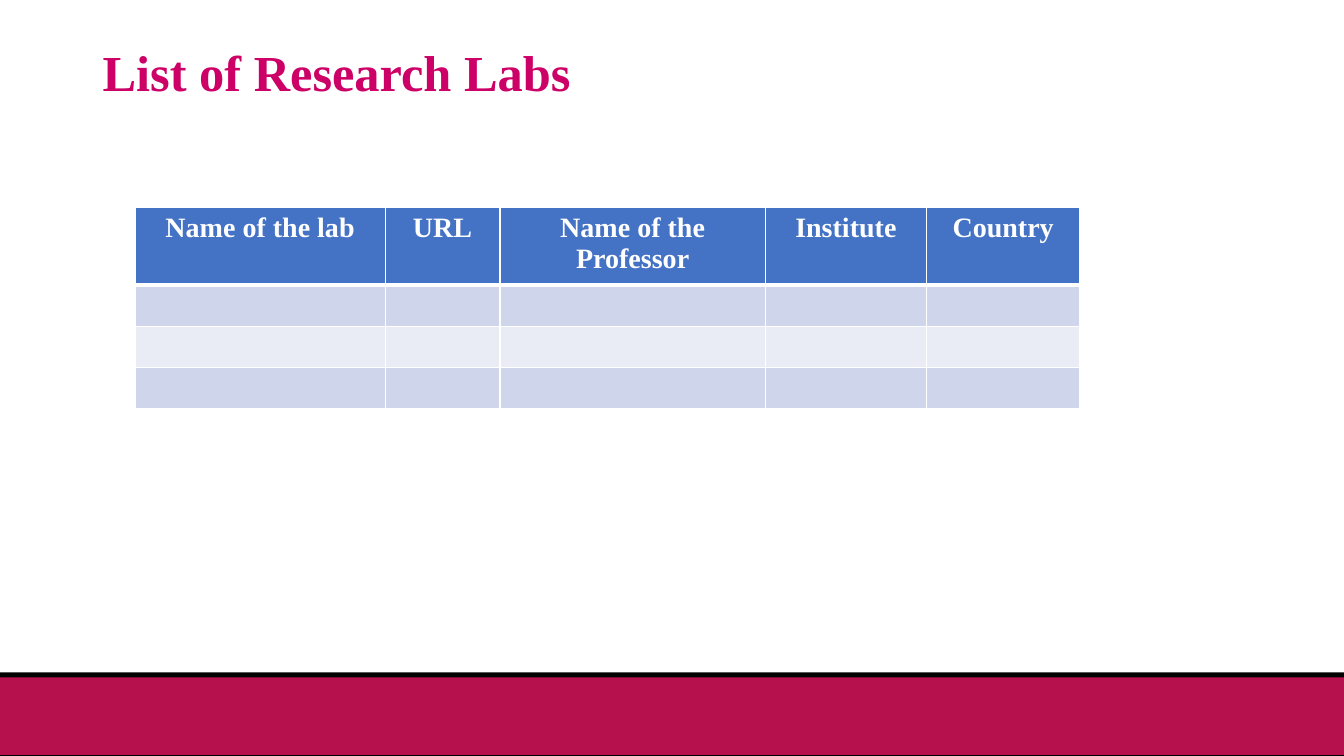
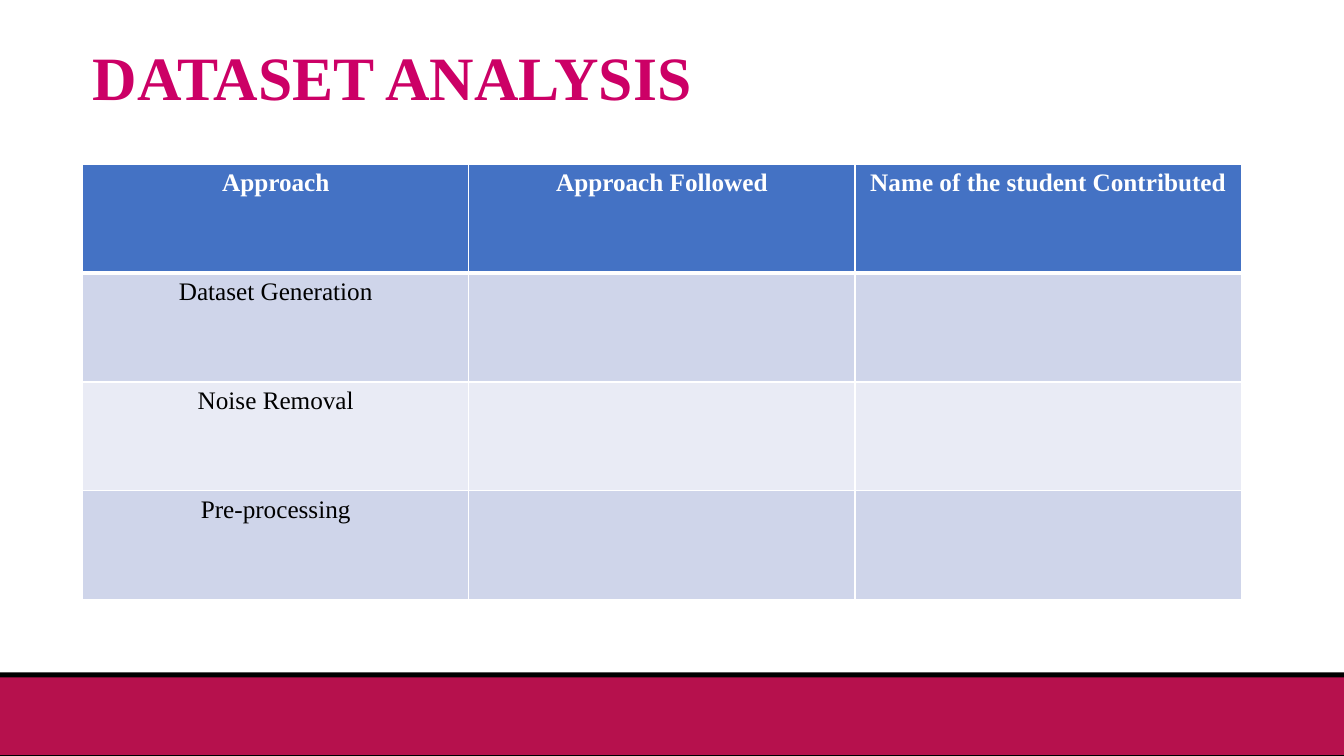
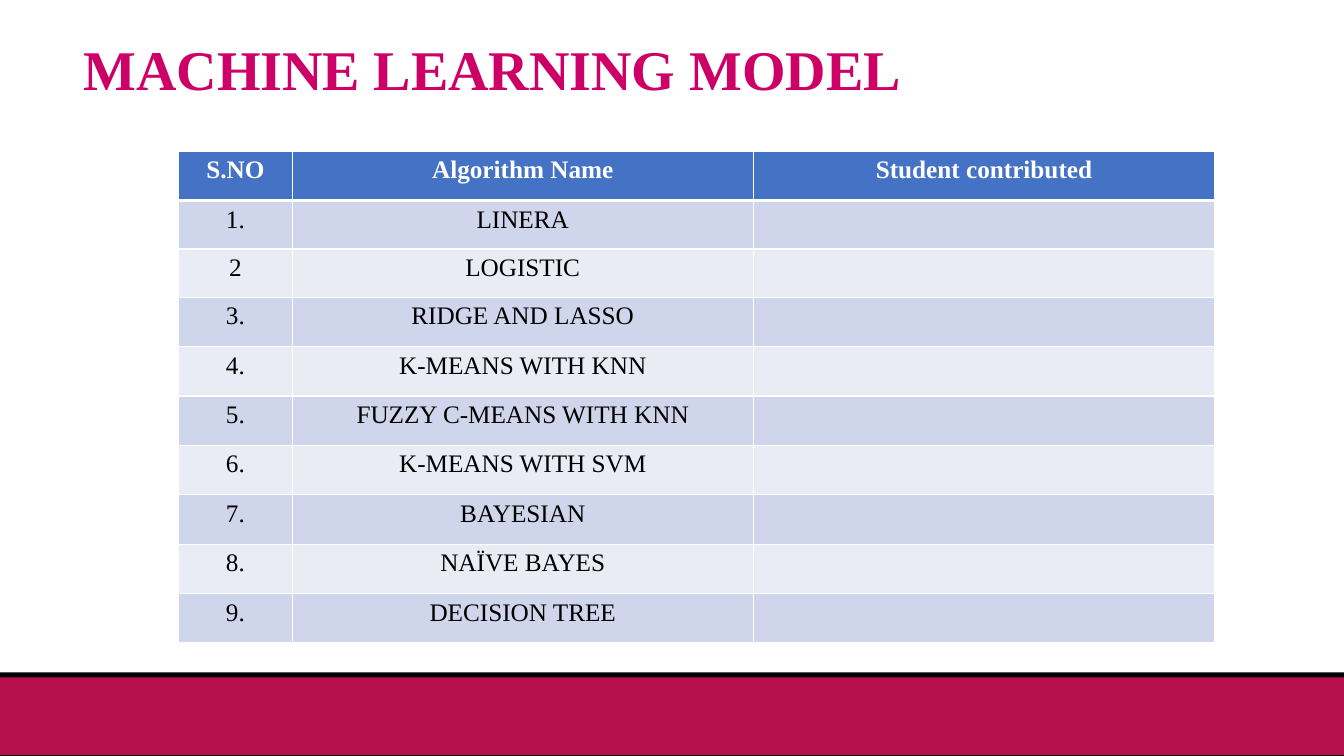
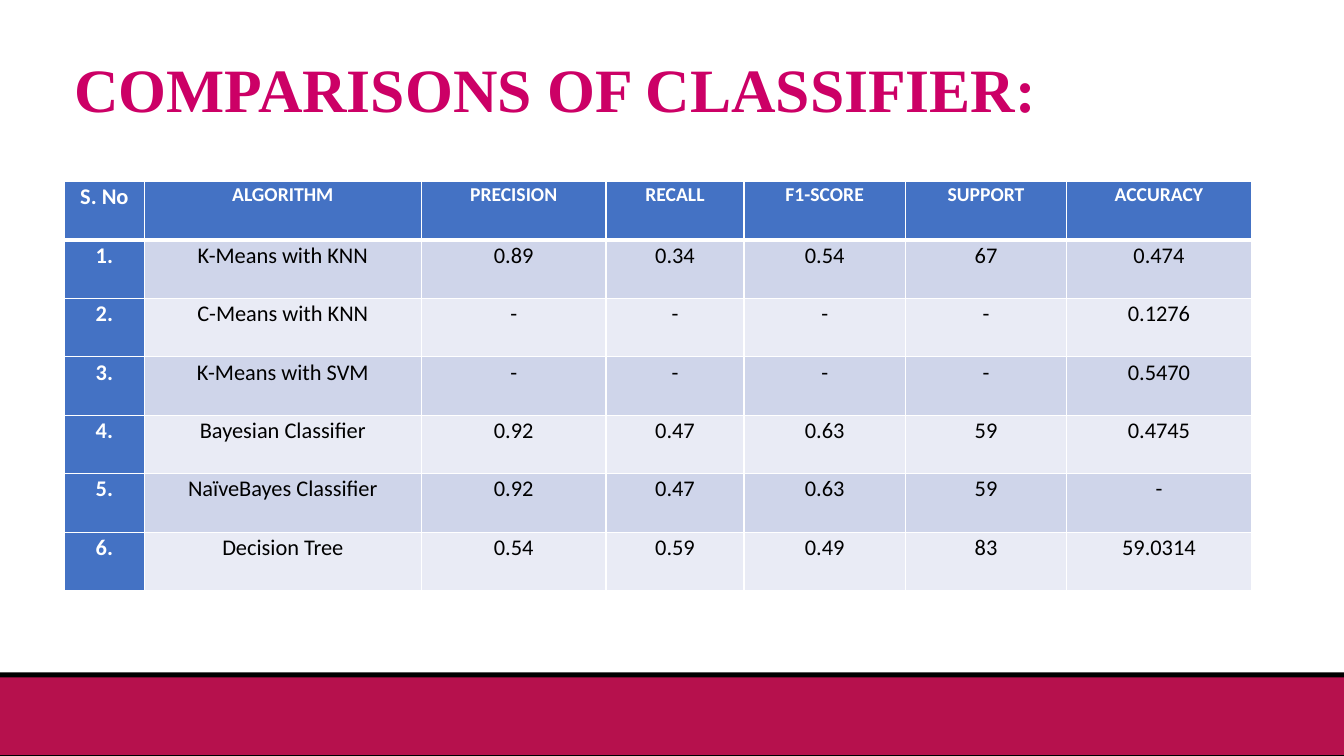
from lxml import etree
from pptx import Presentation
from pptx import util as u
from pptx.dml.color import RGBColor
from pptx.enum import shapes, text
from pptx.oxml import ns

BLACK = RGBColor(0x00, 0x00, 0x00)
WHITE = RGBColor(0xFF, 0xFF, 0xFF)
CRIMSON = RGBColor(0xB6, 0x11, 0x4D)
MAGENTA = RGBColor(0xCC, 0x00, 0x66)
BLUE = RGBColor(0x44, 0x72, 0xC4)
STRIPES = (RGBColor(0xCF, 0xD5, 0xEA), RGBColor(0xE9, 0xEB, 0xF5))
SERIF = "Times New Roman"
SANS = "Calibri"
PAGE_WIDTH, PAGE_HEIGHT = 13.33, 7.5

LABS = [["Name of the lab", "URL", "Name of the Professor", "Institute", "Country"]] + [[""] * 5] * 3
APPROACHES = [
    ["Approach", "Approach Followed", "Name of the student Contributed"],
    ["Dataset Generation", "", ""],
    ["Noise Removal", "", ""],
    ["Pre-processing", "", ""],
]
MODELS = [
    ["S.NO", "Algorithm Name", "Student contributed"],
    ["1.", "LINERA", ""],
    ["2", "LOGISTIC", ""],
    ["3.", "RIDGE AND LASSO", ""],
    ["4.", "K-MEANS WITH KNN", ""],
    ["5.", "FUZZY C-MEANS WITH KNN", ""],
    ["6.", "K-MEANS WITH SVM", ""],
    ["7.", "BAYESIAN", ""],
    ["8.", "NAÏVE BAYES", ""],
    ["9.", "DECISION TREE", ""],
]
SCORES = [
    ["S. No", "ALGORITHM", "PRECISION", "RECALL", "F1-SCORE", "SUPPORT", "ACCURACY"],
    ["1.", "K-Means with KNN", "0.89", "0.34", "0.54", "67", "0.474"],
    ["2.", "C-Means with KNN", "-", "-", "-", "-", "0.1276"],
    ["3.", "K-Means with SVM", "-", "-", "-", "-", "0.5470"],
    ["4.", "Bayesian Classifier", "0.92", "0.47", "0.63", "59", "0.4745"],
    ["5.", "NaïveBayes Classifier", "0.92", "0.47", "0.63", "59", "-"],
    ["6.", "Decision Tree", "0.54", "0.59", "0.49", "83", "59.0314"],
]


def inches(box):
    return [u.Inches(length) for length in box]


def style_run(span, font, size, color, bold):
    span.font.name = font
    span.font.size = u.Pt(size)
    span.font.color.rgb = color
    span.font.bold = bold


def add_band(page, top, height, color):
    band = page.shapes.add_shape(
        shapes.MSO_SHAPE.RECTANGLE, *inches((0, top, PAGE_WIDTH, height)))
    band.shadow.inherit = False
    band.fill.solid()
    band.fill.fore_color.rgb = color
    band.line.fill.background()


def add_title(page, title, box, size):
    frame = page.shapes.add_textbox(*inches(box)).text_frame
    frame.word_wrap = True
    frame.vertical_anchor = text.MSO_ANCHOR.MIDDLE
    para = frame.paragraphs[0]
    para.text = title
    para.line_spacing = 0.9
    style_run(para.runs[0], SERIF, size, MAGENTA, True)


def set_borders(cell, top, bottom):
    properties = cell._tc.get_or_add_tcPr()
    widths = {"a:lnL": 1, "a:lnR": 1, "a:lnT": top, "a:lnB": bottom}
    for place, (tag, width) in enumerate(widths.items()):
        line = etree.Element(ns.qn(tag), w=str(u.Pt(width)))
        fill = etree.SubElement(line, ns.qn("a:solidFill"))
        etree.SubElement(fill, ns.qn("a:srgbClr"), val=str(WHITE))
        properties.insert(place, line)


def add_grid(page, left, top, widths, heights, rows, font=SERIF, size=18,
             header_size=None, number_column=False, tight=False):
    box = inches((left, top, sum(widths), sum(heights)))
    table = page.shapes.add_table(len(rows), len(widths), *box).table
    table.first_col = number_column
    for column, width in zip(table.columns, widths):
        column.width = u.Inches(width)
    for row, height in zip(table.rows, heights):
        row.height = u.Inches(height)
    for i, words in enumerate(rows):
        for j, word in enumerate(words):
            cell = table.cell(i, j)
            in_number_column = number_column and j == 0
            strong = i == 0 or in_number_column
            cell.fill.solid()
            cell.fill.fore_color.rgb = BLUE if strong else STRIPES[(i - 1) % 2]
            set_borders(cell, 3 if i == 1 else 1, 3 if i == 0 else 1)
            para = cell.text_frame.paragraphs[0]
            para.alignment = text.PP_ALIGN.CENTER
            if tight:
                cell.margin_left = cell.margin_right = u.Inches(0.07)
                cell.margin_top = cell.margin_bottom = 0
                para.line_spacing = 1.07
            if word:
                para.text = word
                small = header_size and i == 0 and not in_number_column
                style_run(para.runs[0], font, header_size if small else size,
                          WHITE if strong else BLACK, strong)


def add_page(deck, title, title_box, title_size):
    page = deck.slides.add_slide(deck.slide_layouts[6])
    add_band(page, 6.67, 0.83, BLACK)
    add_band(page, 6.72, 0.77, CRIMSON)
    add_title(page, title, title_box, title_size)
    return page


def main():
    deck = Presentation()
    deck.slide_width, deck.slide_height = inches((PAGE_WIDTH, PAGE_HEIGHT))

    page = add_page(deck, "List of Research Labs", (0.92, 0.4, 11.5, 0.69), 36)
    add_grid(page, 1.34, 2.06, [2.48, 1.14, 2.63, 1.6, 1.52],
             [0.71] + [0.41] * 3, LABS, size=20)

    page = add_page(deck, "DATASET ANALYSIS", (0.82, 0.04, 11.5, 1.51), 44)
    add_grid(page, 0.82, 1.63, [3.83] * 3, [1.08] * 4, APPROACHES)

    page = add_page(deck, "MACHINE LEARNING MODEL", (0.73, 0.35, 11.5, 0.74), 40)
    add_grid(page, 1.77, 1.5, [1.13, 4.57, 4.58],
             [0.49, 0.48, 0.48] + [0.49] * 7, MODELS)

    page = add_page(deck, "COMPARISONS OF CLASSIFIER:", (0.64, 0.19, 11.5, 1.45), 44)
    add_grid(page, 0.64, 1.8, [0.79, 2.75, 1.83, 1.37, 1.6, 1.6, 1.83],
             [0.58] * 7, SCORES, font=SANS, size=16, header_size=14,
             number_column=True, tight=True)

    deck.save("out.pptx")


if __name__ == "__main__":
    main()
